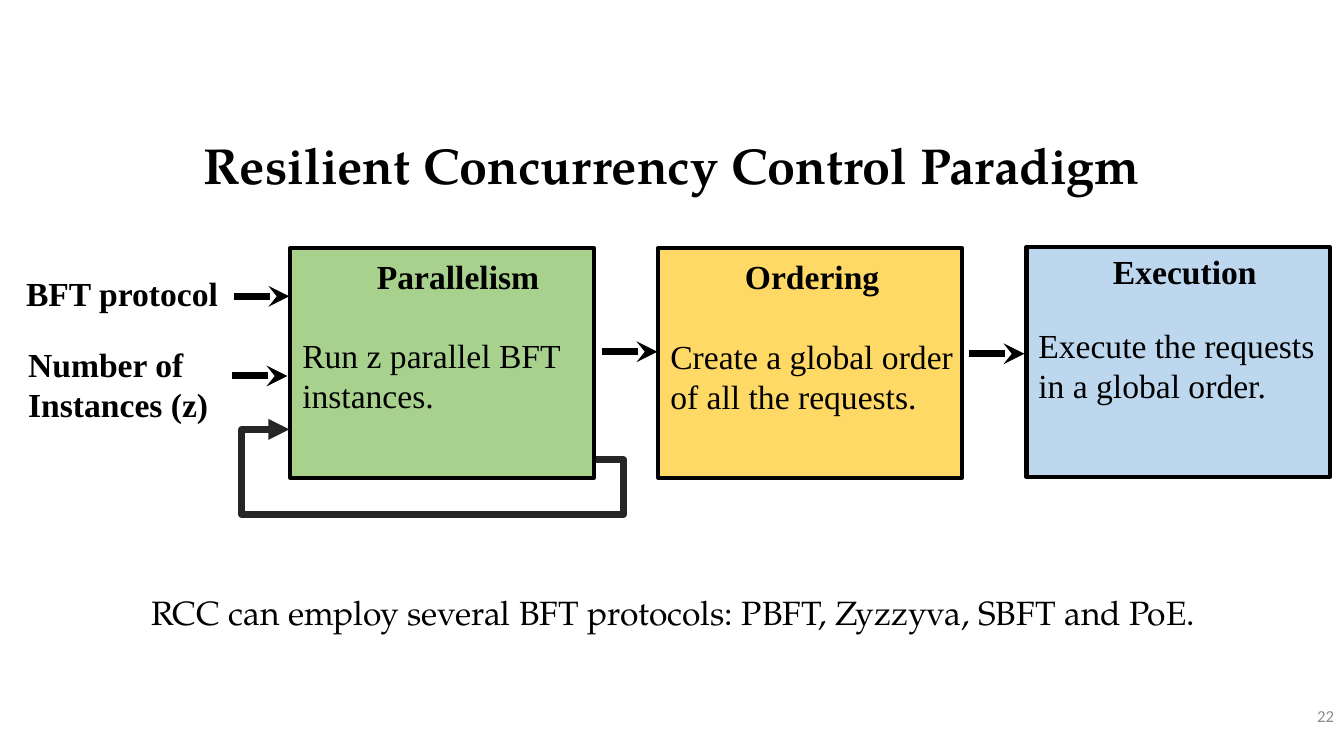
"""Build the Resilient Concurrency Control Paradigm slide."""
from lxml import etree
from pptx import Presentation
from pptx.dml.color import RGBColor
from pptx.enum.shapes import MSO_CONNECTOR, MSO_SHAPE
from pptx.enum.text import MSO_ANCHOR, MSO_AUTO_SIZE, PP_ALIGN
from pptx.oxml.ns import qn
from pptx.util import Inches, Pt

RECT = MSO_SHAPE.RECTANGLE
STRAIGHT, ELBOW = MSO_CONNECTOR.STRAIGHT, MSO_CONNECTOR.ELBOW
TOP, MIDDLE = MSO_ANCHOR.TOP, MSO_ANCHOR.MIDDLE
LEFT, CENTER, RIGHT = PP_ALIGN.LEFT, PP_ALIGN.CENTER, PP_ALIGN.RIGHT
GROW = MSO_AUTO_SIZE.SHAPE_TO_FIT_TEXT

SERIF, PAGELLA = "Times New Roman", "TeX Gyre Pagella"
BODY = {"name": SERIF, "size": Pt(24), "bold": False}
HEAD = {**BODY, "bold": True}
TITLE = {"name": PAGELLA, "size": Pt(36), "bold": True}
NOTE = {"name": PAGELLA, "size": Pt(24)}
NUMBER = {"name": "Calibri", "size": Pt(12)}

TITLE_TEXT = "Resilient Concurrency Control Paradigm"
NOTE_TEXT = "RCC can employ several BFT protocols: PBFT, Zyzzyva, SBFT and PoE. "
INPUTS = [
    (["BFT protocol"], (0.16, 2.66, 2.12, 0.5)),
    (["Number of", "Instances (z)"], (0.18, 3.36, 2.01, 0.91)),
]
STAGES = [
    ("Parallelism", 1.83, ["Run z parallel BFT", "instances."], 2.93, "A9D18E", 2.46, 2.49, 3.27),
    ("Ordering", 1.55, ["Create a global order", "of all the requests."], 3.11, "FFD966", 2.46, 2.49, 3.28),
    ("Execution", 1.64, ["Execute the requests", "in a global order."], 3.05, "BDD7EE", 2.45, 2.44, 3.17),
]
STAGE_X, STAGE_STEP, STAGE_W, STAGE_H = 2.88, 3.65, 3.01, 2.28
ARROWS = [(2.32, 2.94), (2.3, 3.73), (5.97, 3.49), (9.61, 3.51)]
ARROW_LEN = 0.55
LOOP = (2.87, 4.26, 5.91, 4.56)
LOOP_BENDS = [-9000, -181500, 115500]


def color(hex_value):
    return RGBColor.from_string(hex_value)


def write(sp, lines, fmt, hex_value="000000", align=LEFT, anchor=TOP, wrap=True, grow=GROW):
    tf = sp.text_frame
    tf.word_wrap, tf.auto_size, tf.vertical_anchor = wrap, grow, anchor
    for i, line in enumerate(lines):
        p = tf.add_paragraph() if i else tf.paragraphs[0]
        p.alignment = align
        r = p.add_run()
        r.text = line
        for key, value in fmt.items():
            setattr(r.font, key, value)
        r.font.color.rgb = color(hex_value)
    return tf


def add_text(s, box, lines, fmt, **options):
    return write(s.shapes.add_textbox(*map(Inches, box)), lines, fmt, **options)


def add_arrow(s, kind, ends, hex_value, head):
    sp = s.shapes.add_connector(kind, *map(Inches, ends))
    sp.line.color.rgb = color(hex_value)
    sp.line.width = Pt(5)
    etree.SubElement(sp.line._get_or_add_ln(), qn("a:tailEnd"), type=head)
    etree.SubElement(sp._element.spPr, qn("a:effectLst"))
    return sp


def add_stage(s, index, stage):
    name, name_w, lines, text_w, fill, top, name_y, text_y = stage
    x = STAGE_X + index * STAGE_STEP
    sp = s.shapes.add_shape(RECT, *map(Inches, (x, top, STAGE_W, STAGE_H)))
    sp.shadow.inherit = False
    sp.fill.solid()
    sp.fill.fore_color.rgb = color(fill)
    sp.line.color.rgb = color("000000")
    sp.line.width = Pt(3)
    add_text(s, (x + 0.76, name_y, name_w, 0.5), [name], HEAD, wrap=False)
    add_text(s, (x + 0.02, text_y, text_w, 0.91), lines, BODY, wrap=False)


def add_loop(s):
    sp = add_arrow(s, ELBOW, LOOP, "262626", "triangle")
    sp._element.spPr.find(qn("a:xfrm")).set("rot", "10800000")
    geom = sp._element.spPr.find(qn("a:prstGeom"))
    geom.set("prst", "bentConnector5")
    guides = geom.find(qn("a:avLst"))
    for i, bend in enumerate(LOOP_BENDS, 1):
        etree.SubElement(guides, qn("a:gd"), name=f"adj{i}", fmla=f"val {bend}")


def main():
    prs = Presentation()
    prs.slide_width, prs.slide_height = Inches(13.33), Inches(7.5)
    s = prs.slides.add_slide(prs.slide_layouts[5])

    title = s.shapes.title
    title.left, title.top, title.width, title.height = map(Inches, (0, 1.18, 13.33, 0.78))
    tf = write(title, [TITLE_TEXT], TITLE, align=CENTER, anchor=MIDDLE)
    tf.paragraphs[0].line_spacing = 1.2

    for lines, box in INPUTS:
        add_text(s, box, lines, HEAD, wrap=False)
    for i, stage in enumerate(STAGES):
        add_stage(s, i, stage)
    add_loop(s)
    for x, y in ARROWS:
        add_arrow(s, STRAIGHT, (x, y, x + ARROW_LEN, y), "000000", "stealth")

    add_text(s, (0.97, 5.82, 11.5, 0.5), [NOTE_TEXT], NOTE, align=CENTER, anchor=MIDDLE)
    add_text(s, (11.63, 6.9, 1.7, 0.4), ["22"], NUMBER, hex_value="8C8C8C",
             align=RIGHT, anchor=MIDDLE, grow=MSO_AUTO_SIZE.NONE)
    prs.save("out.pptx")


if __name__ == "__main__":
    main()
